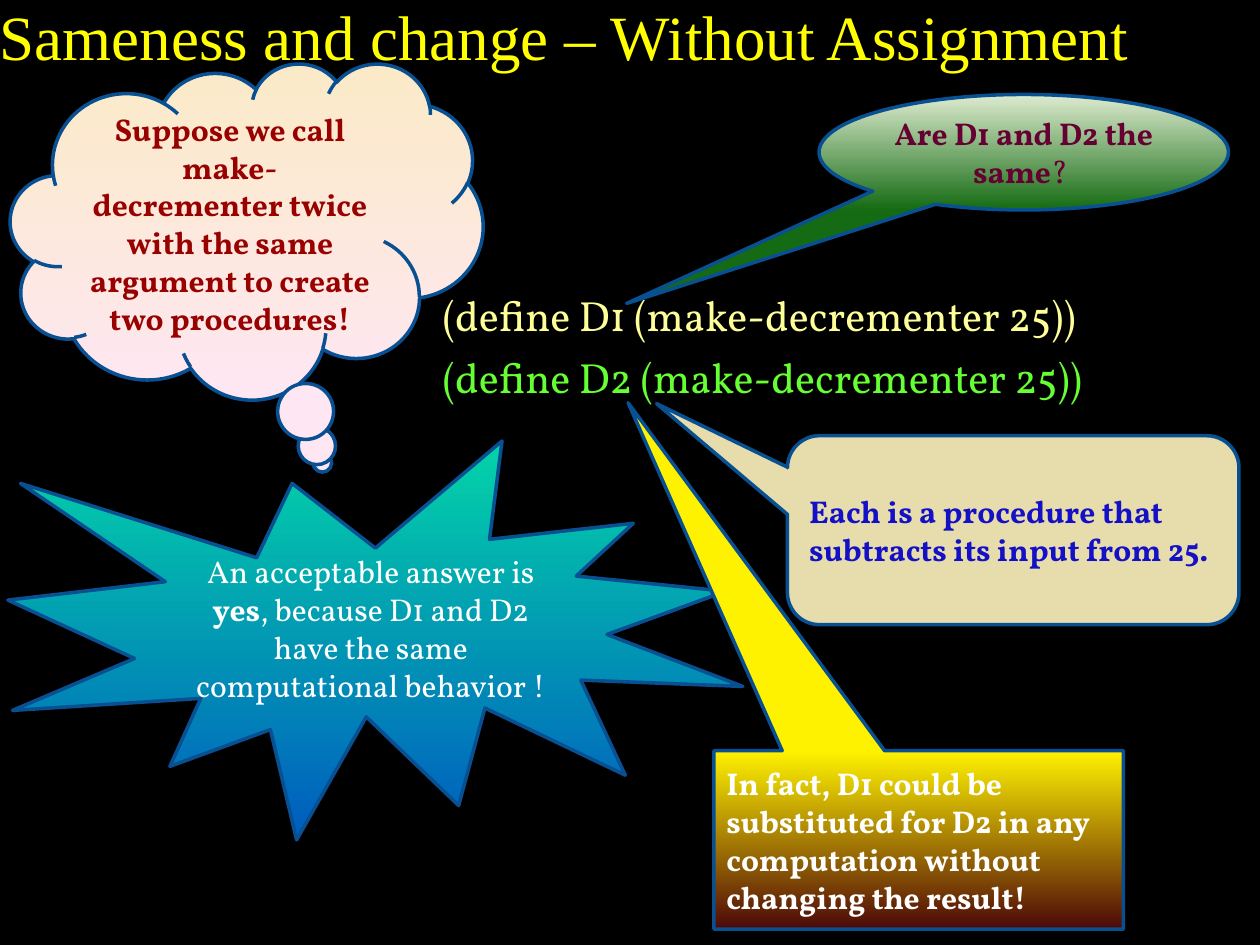
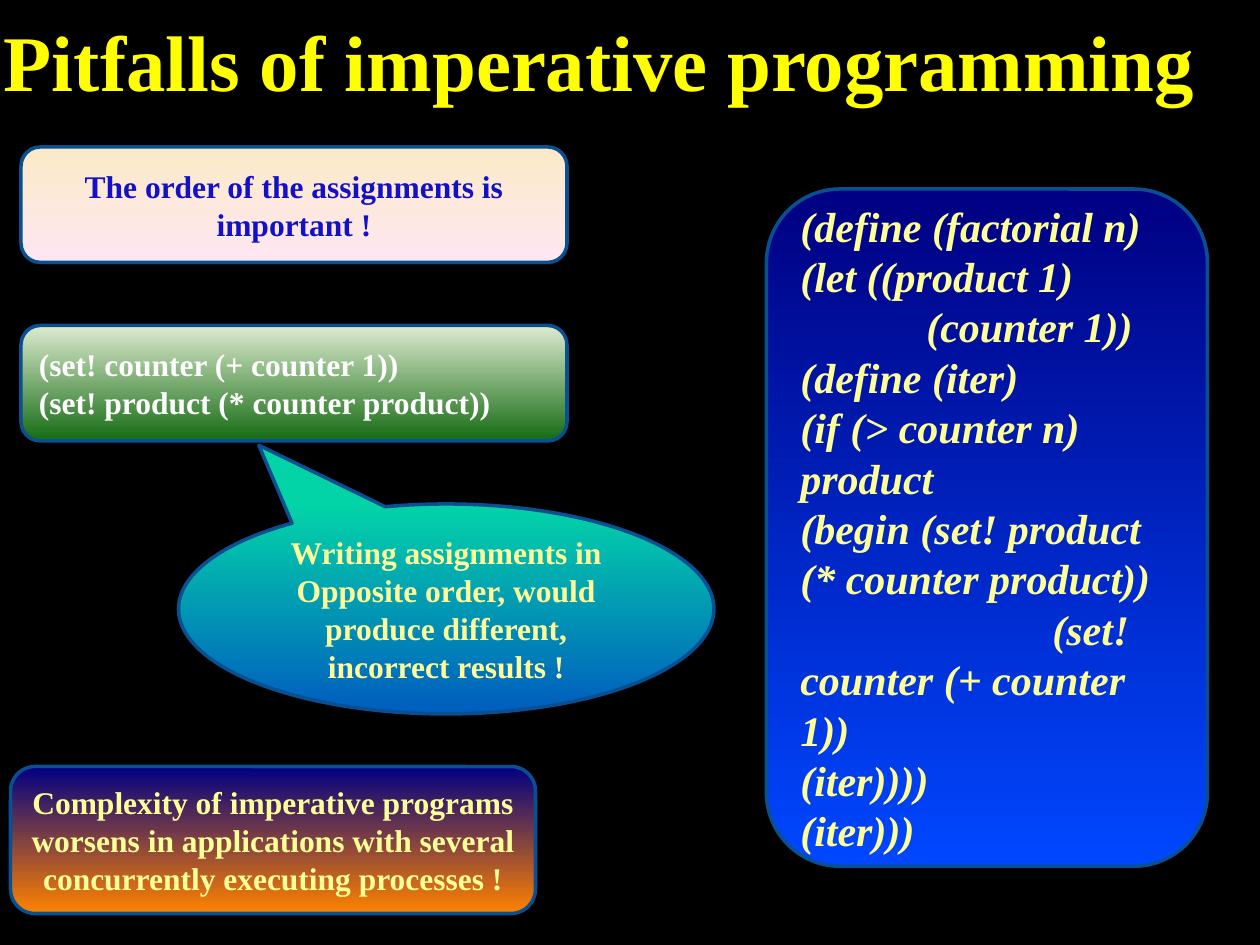
"""Build two slides on assignment, sameness and the pitfalls of imperative programming."""
from dataclasses import dataclass
from typing import NamedTuple

from lxml import etree
from pptx import Presentation
from pptx import util as u
from pptx.dml.color import RGBColor
from pptx.enum import shapes, text
from pptx.oxml.ns import qn

PX = 9525
G = shapes.MSO_SHAPE
ANCHOR = text.MSO_ANCHOR
LEFT, CENTER = text.PP_ALIGN.LEFT, text.PP_ALIGN.CENTER


@dataclass(frozen=True)
class Theme:
    """Colours, fonts and type sizes shared by the slides."""
    serif: str = "Times New Roman"
    book: str = "Vollkorn"
    body: float = 18
    code: float = 24
    define: float = 24.1
    define_gap: float = 6.5
    outline_width: float = 2
    background: str = "000000"
    title: str = "FFFF00"
    outline: str = "085091"
    white: str = "FFFFFF"
    pale_yellow: str = "FFFF99"
    lime: str = "66FF33"
    red: str = "990000"
    plum: str = "660033"
    blue: str = "1410C6"
    sand: tuple[str, ...] = ("E6DCAC",)
    blush: tuple[str, ...] = ("FBEAC7", "FEE7F2")
    green: tuple[str, ...] = ("DDEBCF", "156B13")
    ocean: tuple[str, ...] = ("03D4A8", "005CBF")
    fire: tuple[str, ...] = ("FFF200", "4D0808")
    navy: tuple[str, ...] = ("000082", "0047FF")
    sunset: tuple[str, ...] = ("000082", "FF8200")


T = Theme()


class Box(NamedTuple):
    """Left, top, width and height in px."""
    x: int
    y: int
    w: int
    h: int


class Run(NamedTuple):
    """A stretch of text whose weight may differ from its paragraph."""
    text: str
    bold: bool | None = None


class Style(NamedTuple):
    """How a paragraph is set."""
    color: str
    font: str
    size: float = T.body
    bold: bool = True
    italic: bool = False
    align: text.PP_ALIGN = CENTER


@dataclass(frozen=True)
class Bubble:
    """A filled, outlined shape holding text; each paragraph is a list of runs."""
    kind: shapes.MSO_SHAPE
    box: Box
    fill: tuple[str, ...]
    style: Style
    paragraphs: list[list[Run]]
    adjust: tuple[float, ...] = ()


def plain(*lines: str) -> list[list[Run]]:
    """Make one single-run paragraph per line."""
    return [[Run(line)] for line in lines]


def emu(box: Box) -> list[u.Emu]:
    """Turn a box in px into EMU."""
    return [u.Emu(v * PX) for v in box]


def rgb(color: str) -> RGBColor:
    """Turn a hex string into a colour."""
    return RGBColor.from_string(color)


def add_tabs(p) -> None:
    """Put a left tab stop at every inch."""
    tabs = etree.SubElement(p._p.get_or_add_pPr(), qn("a:tabLst"))
    for inch in range(8):
        etree.SubElement(tabs, qn("a:tab"), pos=str(u.Inches(inch)), algn="l")


def write(p, runs: list[Run], style: Style) -> None:
    """Fill a paragraph with runs in one style."""
    p.alignment = style.align
    if any("\t" in run.text for run in runs):
        add_tabs(p)
    f = p.font
    f.name, f.size = style.font, u.Pt(style.size)
    f.bold, f.italic = style.bold, style.italic
    f.color.rgb = rgb(style.color)
    for run in runs:
        r = p.add_run()
        r.text = run.text
        if run.bold is not None:
            r.font.bold = run.bold


def paragraph(tf, index: int):
    """Give the first paragraph of a frame, or a new one after it."""
    return tf.paragraphs[0] if index == 0 else tf.add_paragraph()


def add_title(s, box: Box, words: str, size: float, bold: bool) -> None:
    """Add the slide title, resting on the bottom of its box."""
    tf = s.shapes.add_textbox(*emu(box)).text_frame
    tf.word_wrap = True
    tf.vertical_anchor = ANCHOR.BOTTOM
    tf.margin_left = tf.margin_right = tf.margin_bottom = 0
    write(tf.paragraphs[0], [Run(words)], Style(T.title, T.serif, size, bold, align=LEFT))


def add_definitions(s, box: Box, lines: dict[str, str]) -> None:
    """Add definitions, one per line, each in its own colour."""
    tf = s.shapes.add_textbox(*emu(box)).text_frame
    tf.word_wrap = True
    for i, (line, color) in enumerate(lines.items()):
        p = paragraph(tf, i)
        if i:
            p.space_before = u.Pt(T.define_gap)
        write(p, [Run(line)], Style(color, T.book, T.define, bold=False, align=LEFT))


def paint(sp, colors: tuple[str, ...]) -> None:
    """Fill a shape with one colour, or two from top to bottom."""
    if len(colors) == 1:
        sp.fill.solid()
        sp.fill.fore_color.rgb = rgb(colors[0])
        return
    sp.fill.gradient()
    sp.fill.gradient_angle = 270
    for stop, color in zip(sp.fill.gradient_stops, colors):
        stop.color.rgb = rgb(color)


def add_bubble(s, bubble: Bubble) -> None:
    """Draw one bubble."""
    sp = s.shapes.add_shape(bubble.kind, *emu(bubble.box))
    sp.shadow.inherit = False
    for i, value in enumerate(bubble.adjust):
        sp.adjustments[i] = value
    paint(sp, bubble.fill)
    sp.line.color.rgb = rgb(T.outline)
    sp.line.width = u.Pt(T.outline_width)
    tf = sp.text_frame
    tf.word_wrap = True
    tf.vertical_anchor = ANCHOR.MIDDLE
    for i, runs in enumerate(bubble.paragraphs):
        write(paragraph(tf, i), runs, bubble.style)


def add_slide(prs):
    """Add a blank slide with the shared background."""
    s = prs.slides.add_slide(prs.slide_layouts[6])
    s.background.fill.solid()
    s.background.fill.fore_color.rgb = rgb(T.background)
    return s


SAMENESS = [
    Bubble(G.CLOUD_CALLOUT, Box(8, 48, 360, 256), T.blush, Style(T.red, T.book),
           plain("Suppose we call make-decrementer twice with the same argument "
                 "to create two procedures!"), (0.16, 0.69)),
    Bubble(G.OVAL_CALLOUT, Box(624, 72, 312, 88), T.green, Style(T.plum, T.book),
           [[Run("Are D1 and D2 the same"), Run("? ", False)]], (-0.97, 1.31)),
    Bubble(G.EXPLOSION1, Box(6, 336, 560, 304), T.ocean,
           Style(T.white, T.book, bold=False),
           [[Run("An acceptable answer is "), Run("yes", True),
             Run(", because D1 and D2 have the same computational behavior !")]]),
    Bubble(G.ROUNDED_RECTANGULAR_CALLOUT, Box(600, 332, 344, 144), T.sand,
           Style(T.blue, T.book, align=LEFT),
           plain("Each is a procedure that subtracts its input from 25."),
           (-0.79, -0.67, 0.17)),
    Bubble(G.RECTANGULAR_CALLOUT, Box(544, 572, 312, 136), T.fire,
           Style(T.white, T.book, align=LEFT),
           plain("In fact, D1 could be substituted for D2 in any computation "
                 "without changing the result!"), (-0.71, -2.45)),
]

PITFALLS = [
    Bubble(G.FLOWCHART_ALTERNATE_PROCESS, Box(584, 144, 336, 516), T.navy,
           Style(T.pale_yellow, T.serif, T.code, italic=True, align=LEFT),
           plain("(define (factorial n)", "(let ((product 1)", "\t(counter 1))",
                 "(define (iter)", "(if (> counter n)", "product",
                 "(begin (set! product (* counter product))",
                 "\t\t(set! counter (+ counter 1))", "(iter))))", "(iter)))")),
    Bubble(G.FLOWCHART_ALTERNATE_PROCESS, Box(16, 112, 416, 88), T.blush,
           Style(T.blue, T.serif),
           plain("The order of the assignments is important !")),
    Bubble(G.FLOWCHART_ALTERNATE_PROCESS, Box(16, 248, 416, 88), T.green,
           Style(T.white, T.serif, align=LEFT),
           plain("(set! counter (+ counter 1))", "(set! product (* counter product))")),
    Bubble(G.OVAL_CALLOUT, Box(136, 384, 408, 160), T.ocean,
           Style(T.pale_yellow, T.serif),
           plain("Writing assignments in Opposite order, would produce different, "
                 "incorrect results !"), (-0.35, -0.78)),
    Bubble(G.FLOWCHART_ALTERNATE_PROCESS, Box(8, 584, 400, 112), T.sunset,
           Style(T.pale_yellow, T.serif),
           plain("Complexity of imperative programs worsens in applications with "
                 "several concurrently executing processes !")),
]


def main() -> None:
    """Build and save the presentation."""
    prs = Presentation()
    prs.slide_width, prs.slide_height = u.Emu(960 * PX), u.Emu(720 * PX)

    s = add_slide(prs)
    add_title(s, Box(0, 2, 952, 54), "Sameness and change – Without Assignment", 36, False)
    add_definitions(s, Box(328, 216, 576, 108), {
        "(define D1 (make-decrementer 25))": T.pale_yellow,
        "(define D2 (make-decrementer 25))": T.lime,
    })
    for bubble in SAMENESS:
        add_bubble(s, bubble)

    s = add_slide(prs)
    add_title(s, Box(3, 2, 928, 80), "Pitfalls of imperative programming", 45, True)
    for bubble in PITFALLS:
        add_bubble(s, bubble)

    prs.save("out.pptx")


if __name__ == "__main__":
    main()
